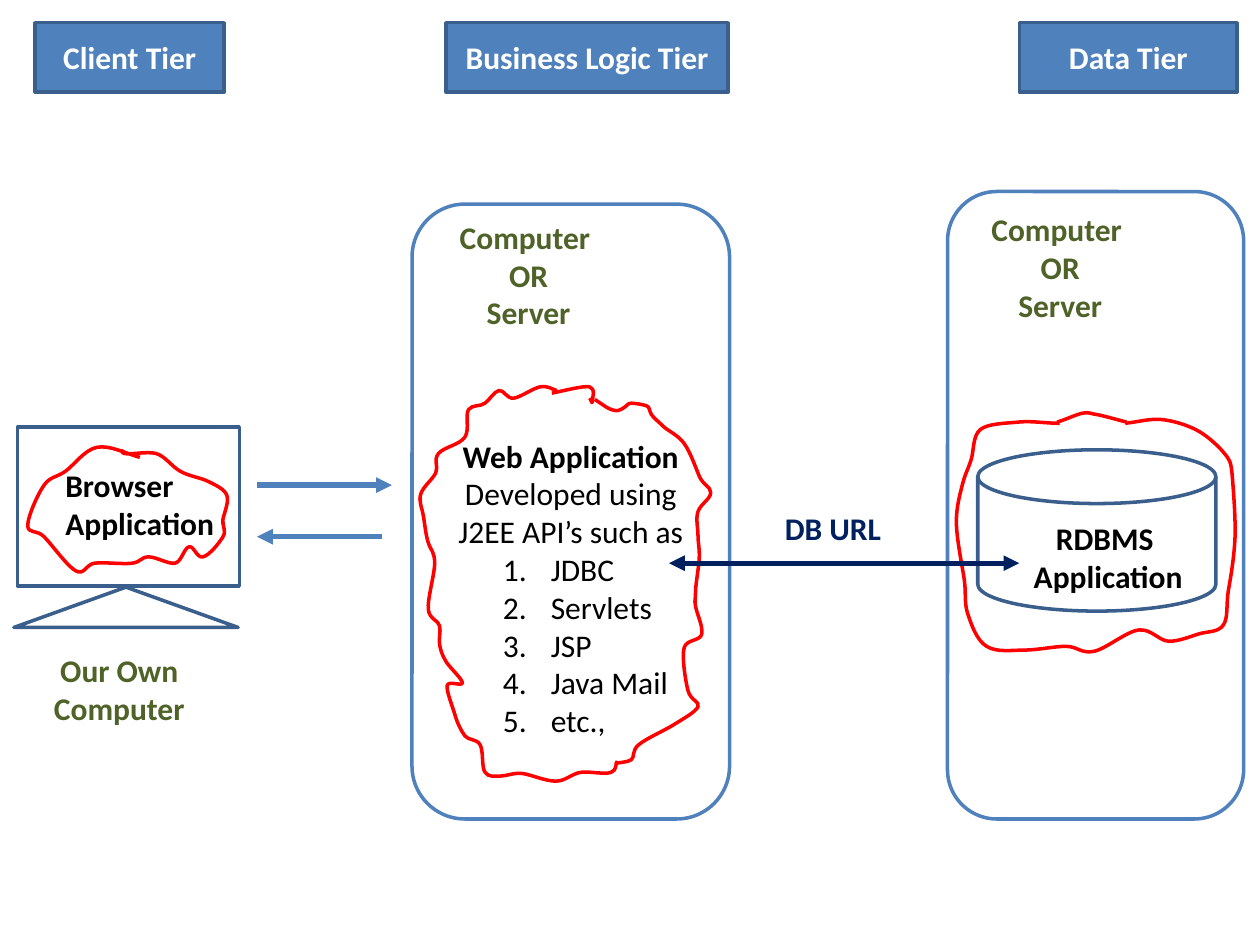
from lxml import etree
from pptx import Presentation
from pptx.dml.color import RGBColor
from pptx.enum.shapes import MSO_CONNECTOR, MSO_SHAPE
from pptx.enum.text import MSO_ANCHOR, MSO_AUTO_SIZE, PP_ALIGN
from pptx.oxml.ns import qn
from pptx.util import Pt

RECT, ROUND = MSO_SHAPE.RECTANGLE, MSO_SHAPE.ROUNDED_RECTANGLE
DISK, PEAK = MSO_SHAPE.FLOWCHART_MAGNETIC_DISK, MSO_SHAPE.ISOSCELES_TRIANGLE
LEFT, MID = PP_ALIGN.LEFT, PP_ALIGN.CENTER
PX = 9144  # one px is a hundredth of an inch
BLUE, EDGE, NAVY, GREEN = "4F81BD", "3A5F8C", "002060", "4F6228"
RED, BLACK, WHITE = "FF0000", "000000", "FFFFFF"

# Content: boxes are left, top, width, height
TIERS = [
    ("Client Tier", (28, 18, 150, 55)),
    ("Business Logic Tier", (354, 18, 224, 55)),
    ("Data Tier", (809, 18, 173, 55)),
]
SERVER = (327, 162, 252, 488)
FRAMES = [
    (ROUND, (752, 152, 235, 498), WHITE, BLUE),
    (DISK, (776, 357, 189, 128), None, EDGE),
    (PEAK, (11, 466, 178, 32), None, EDGE),
    (RECT, (14, 339, 176, 126), None, EDGE),
]
INTRO = [("Web Application ", True), ("Developed using J2EE API’s such as", False)]
APIS = ["JDBC", "Servlets", "JSP", "Java Mail", "etc.,"]
HOST = ["Computer ", "OR", "Server"]
LABELS = [
    (["Browser", "Application"], (42, 365, 139, 71), BLACK, LEFT),
    (HOST, (354, 168, 131, 101), GREEN, MID),
    (["RDBMS ", "Application"], (810, 407, 139, 71), BLACK, MID),
    (HOST, (776, 162, 131, 101), GREEN, MID),
    (["Our Own ", "Computer "], (32, 512, 131, 71), GREEN, MID),
    (["DB URL"], (612, 399, 98, 40), NAVY, MID),
]
# Points that each hand-drawn outline passes through
CLOUDS = [
    # web application: left, right, top
    [(442, 310), (429, 307), (408, 316), (396, 310), (385, 320), (372, 325),
     (369, 347), (348, 360), (346, 375), (334, 392), (336, 409), (340, 431),
     (345, 447), (340, 484), (349, 497), (349, 512), (354, 525), (367, 542),
     (355, 544), (361, 567), (369, 584), (381, 591), (385, 613), (397, 616),
     (415, 614), (441, 620), (461, 613), (485, 613), (490, 604)],
    [(488, 606), (501, 603), (507, 591), (535, 575), (554, 561), (546, 548),
     (543, 514), (557, 503), (552, 481), (552, 470), (555, 441), (554, 425),
     (554, 406), (564, 391), (555, 378), (543, 352), (526, 338), (517, 329),
     (513, 322), (501, 320), (496, 323), (490, 326), (481, 323), (472, 317)],
    [(438, 312), (468, 307), (470, 319), (468, 316)],
    # database: body, top
    [(841, 336), (809, 335), (778, 341), (771, 364), (764, 384), (759, 414),
     (765, 458), (768, 487), (783, 513), (813, 516), (846, 513), (868, 517),
     (904, 500), (928, 509), (952, 503), (971, 496), (975, 468), (980, 430),
     (978, 378), (971, 359), (949, 341), (922, 333), (893, 336)],
    [(839, 335), (859, 328), (870, 329), (894, 335)],
    # browser
    [(111, 363), (77, 355), (52, 374), (35, 385), (22, 417), (35, 426),
     (60, 453), (75, 447), (105, 447), (118, 442), (139, 447), (150, 434),
     (161, 442), (177, 426), (177, 412), (180, 393), (165, 382), (143, 374),
     (124, 360), (99, 360), (98, 357)],
]
# Start, end, colour, ends that carry a head
ARROWS = [
    ((204, 385), (311, 385), BLUE, ["tailEnd"]),
    ((303, 426), (204, 426), BLUE, ["tailEnd"]),
    ((531, 447), (809, 447), NAVY, ["headEnd", "tailEnd"]),
]


def emu(*vals):
    return [v * PX for v in vals]


def tint(code):
    return RGBColor.from_string(code)


def put(obj, **form):
    for key, val in form.items():
        setattr(obj, key, val)


def edge(line, code, width=2):
    line.color.rgb = tint(code)
    line.width = Pt(width)


def write(para, text, code, bold):
    run = para.add_run()
    run.text = text
    put(run.font, name="Calibri", size=Pt(18), bold=bold)
    run.font.color.rgb = tint(code)


def draw(kind, box, fill, line):
    shape = slide.shapes.add_shape(kind, *emu(*box))
    shape.shadow.inherit = False
    if fill:
        shape.fill.solid()
        shape.fill.fore_color.rgb = tint(fill)
    else:
        shape.fill.background()
    edge(shape.line, line)
    return shape


def label(lines, box, code, align):
    frame = slide.shapes.add_textbox(*emu(*box)).text_frame
    put(frame, word_wrap=False, auto_size=MSO_AUTO_SIZE.SHAPE_TO_FIT_TEXT)
    for i, text in enumerate(lines):
        para = frame.add_paragraph() if i else frame.paragraphs[0]
        para.alignment = align
        write(para, text, code, True)


def cloud(points):
    pen = slide.shapes.build_freeform(*points[0], scale=PX)
    pen.add_line_segments(points[1:], close=False)
    shape = pen.convert_to_shape()
    shape.shadow.inherit = False
    shape.fill.background()
    edge(shape.line, RED)
    # Turn each straight step into a smooth curve through the points
    steps = list(shape._element.iter(qn("a:lnTo")))
    pts = [(int(p.get("x")), int(p.get("y"))) for p in shape._element.iter(qn("a:pt"))]
    first = [2 * a - b for a, b in zip(pts[0], pts[1])]
    last = [2 * a - b for a, b in zip(pts[-1], pts[-2])]
    pts = [first, *pts, last]
    for step, a, b, c, d in zip(steps, pts, pts[1:], pts[2:], pts[3:]):
        curve = etree.Element(qn("a:cubicBezTo"))
        out = [q + (r - p) / 6 for p, q, r in zip(a, b, c)]
        back = [q - (r - p) / 6 for p, q, r in zip(b, c, d)]
        for x, y in (out, back, c):
            etree.SubElement(curve, qn("a:pt"), x=str(round(x)), y=str(round(y)))
        step.getparent().replace(step, curve)


def arrow(start, end, code, heads):
    link = slide.shapes.add_connector(MSO_CONNECTOR.STRAIGHT, *emu(*start, *end))
    edge(link.line, code, 3)
    for head in heads:
        etree.SubElement(link.line._get_or_add_ln(), qn("a:" + head), type="triangle")
    etree.SubElement(link._element.spPr, qn("a:effectLst"))


deck = Presentation()
put(deck, slide_width=1000 * PX, slide_height=750 * PX)
slide = deck.slides.add_slide(deck.slide_layouts[6])

# Tier headings
for text, box in TIERS:
    frame = draw(RECT, box, BLUE, EDGE).text_frame
    put(frame, word_wrap=True, vertical_anchor=MSO_ANCHOR.MIDDLE)
    frame.paragraphs[0].alignment = MID
    write(frame.paragraphs[0], text, WHITE, True)

# Web server with its numbered list, set below the host label
frame = draw(ROUND, SERVER, WHITE, BLUE).text_frame
put(frame, word_wrap=True, vertical_anchor=MSO_ANCHOR.MIDDLE, margin_top=126 * PX)
para = frame.paragraphs[0]
para.alignment = MID
for text, bold in INTRO:
    write(para, text, BLACK, bold)
for text in APIS:
    para = frame.add_paragraph()
    put(para, level=1, alignment=LEFT)
    props = para._p.get_or_add_pPr()
    props.set("marL", str(88 * PX))
    props.set("indent", str(-38 * PX))
    etree.SubElement(props, qn("a:buAutoNum"), type="arabicPeriod")
    write(para, text, BLACK, False)

# Machines, labels, outlines and links
for item in FRAMES:
    draw(*item)
for item in LABELS:
    label(*item)
for points in CLOUDS:
    cloud(points)
for item in ARROWS:
    arrow(*item)

deck.save("out.pptx")
